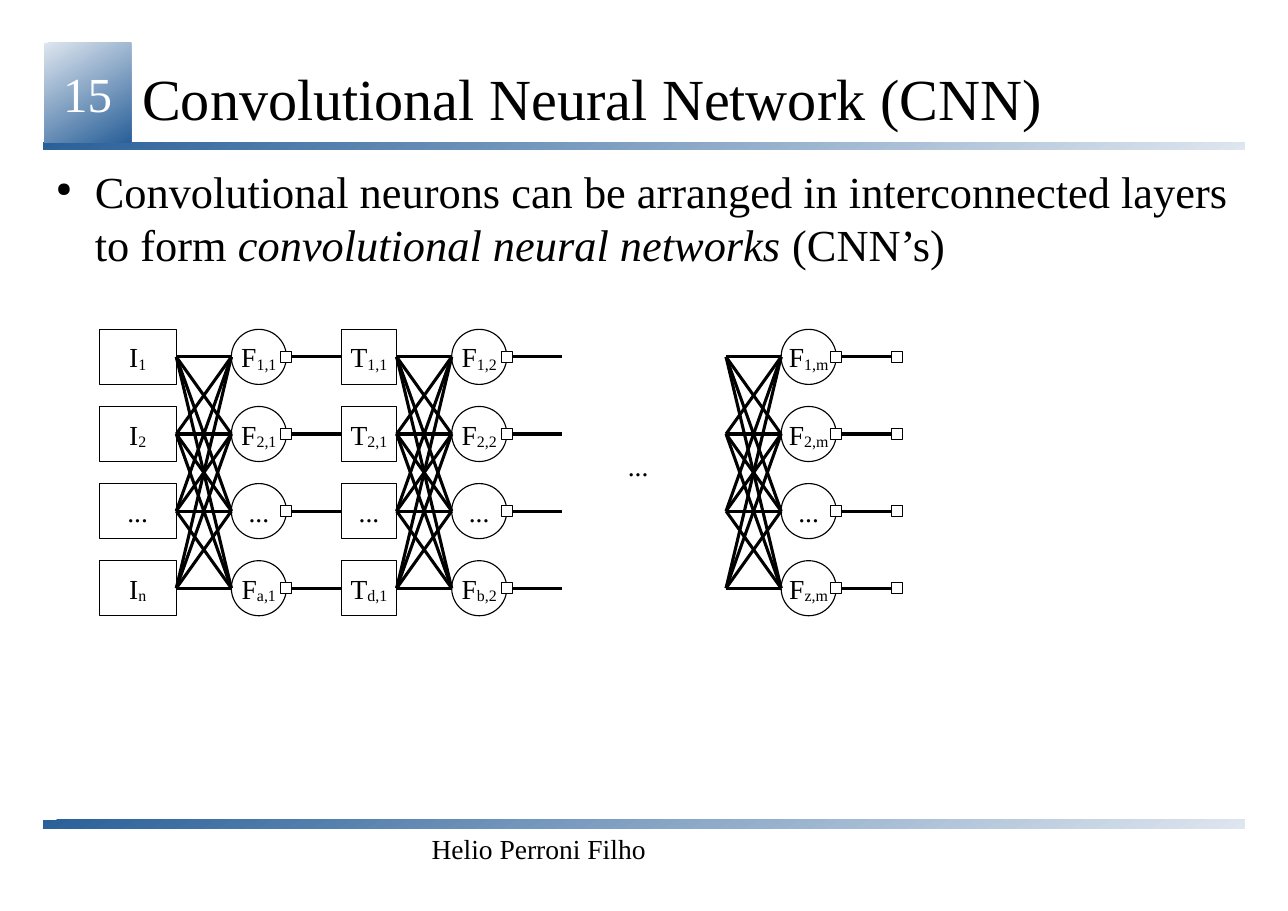
from lxml import etree
from pptx import Presentation
from pptx.dml.color import RGBColor
from pptx.enum import shapes, text
from pptx.oxml import ns
from pptx.util import Inches, Pt

BLACK = RGBColor(0x00, 0x00, 0x00)
WHITE = RGBColor(0xFF, 0xFF, 0xFF)
DARK_BLUE = RGBColor(0x2A, 0x60, 0x99)
PALE_BLUE = RGBColor(0xDE, 0xE6, 0xEF)

FONT = "Times New Roman"
RECTANGLE = shapes.MSO_SHAPE.RECTANGLE
OVAL = shapes.MSO_SHAPE.OVAL
LEFT_SIDE, RIGHT_SIDE = 1, 3

NODE = 0.5
MARKER = 0.1
SPAN = 0.5
ROWS = [3.24 + 0.7 * row for row in range(4)]


def format_run(run, size, color=BLACK):
    run.font.name = FONT
    run.font.size = Pt(size)
    run.font.color.rgb = color


def add_text(slide, box, content, size, align=text.PP_ALIGN.LEFT,
             anchor=text.MSO_ANCHOR.TOP, margins=(0, 0), wrap=True):
    frame = slide.shapes.add_textbox(*map(Inches, box)).text_frame
    frame.word_wrap = wrap
    frame.vertical_anchor = anchor
    frame.margin_left = frame.margin_right = Inches(margins[0])
    frame.margin_top = frame.margin_bottom = Inches(margins[1])
    paragraph = frame.paragraphs[0]
    paragraph.alignment = align
    for part in content:
        run = paragraph.add_run()
        run.text = part
        format_run(run, size)
    return paragraph


def add_gradient(slide, box, first, last):
    shape = slide.shapes.add_shape(RECTANGLE, *map(Inches, box))
    shape.shadow.inherit = False
    shape.line.fill.background()
    shape.fill.gradient()
    shape.fill.gradient_angle = 300
    for stop, position, color in zip(shape.fill.gradient_stops, (0, 1), (first, last)):
        stop.position = position
        stop.color.rgb = color
    return shape


def add_outline(slide, kind, left, middle, width, height):
    box = (left, middle - height / 2, width, height)
    shape = slide.shapes.add_shape(kind, *map(Inches, box))
    shape.shadow.inherit = False
    shape.fill.background()
    shape.line.color.rgb = BLACK
    shape.line.width = Pt(0)
    return shape


def add_node(slide, kind, left, middle, width, letter, subscript):
    shape = add_outline(slide, kind, left, middle, width, NODE)
    frame = shape.text_frame
    frame.word_wrap = False
    frame.vertical_anchor = text.MSO_ANCHOR.MIDDLE
    paragraph = frame.paragraphs[0]
    paragraph.alignment = text.PP_ALIGN.CENTER
    for part in (letter, subscript) if subscript else ("...",):
        run = paragraph.add_run()
        run.text = part
        format_run(run, 18)
        if part == subscript:
            run.font._element.set("baseline", "-8000")
    return shape


def add_column(slide, kind, left, width, letter, subscripts):
    return [add_node(slide, kind, left, middle, width, letter, subscript)
            for middle, subscript in zip(ROWS, subscripts)]


def add_markers(slide, center):
    markers = []
    for middle in ROWS:
        marker = add_outline(slide, RECTANGLE, center - MARKER / 2, middle, MARKER, MARKER)
        marker.fill.solid()
        marker.fill.fore_color.rgb = WHITE
        markers.append(marker)
    return markers


def add_line(slide, start, end, source=None, target=None):
    connector = slide.shapes.add_connector(
        shapes.MSO_CONNECTOR.STRAIGHT, *map(Inches, start + end))
    connector.line.color.rgb = BLACK
    connector.line.width = Pt(0)
    etree.SubElement(connector._element.spPr, ns.qn("a:effectLst"))
    if source:
        connector.begin_connect(source, RIGHT_SIDE)
    if target:
        connector.end_connect(target, LEFT_SIDE)


def add_mesh(slide, left, sources):
    for start, source in zip(ROWS, sources):
        for end in ROWS:
            add_line(slide, (left, start), (left + SPAN, end), source)


def add_outputs(slide, left, targets):
    for middle, target in zip(ROWS, targets):
        add_line(slide, (left, middle), (left + SPAN, middle), target=target)
    add_markers(slide, left)


def add_frame(slide):
    add_gradient(slide, (0.39, 1.29, 10.91, 0.07), DARK_BLUE, PALE_BLUE)
    add_gradient(slide, (0.39, 7.44, 10.91, 0.08), DARK_BLUE, PALE_BLUE)
    number = add_gradient(slide, (0.4, 0.39, 0.79, 0.9), PALE_BLUE, DARK_BLUE)
    frame = number.text_frame
    frame.margin_left = frame.margin_right = frame.margin_top = frame.margin_bottom = 0
    frame.vertical_anchor = text.MSO_ANCHOR.MIDDLE
    frame.text = "15"
    frame.paragraphs[0].alignment = text.PP_ALIGN.CENTER
    format_run(frame.paragraphs[0].runs[0], 32, WHITE)
    add_text(slide, (3.81, 7.52, 2.15, 0.36), ["Helio Perroni Filho"], 18,
             text.PP_ALIGN.RIGHT, text.MSO_ANCHOR.MIDDLE, (0.1, 0.05), wrap=False)
    add_text(slide, (1.29, 0.41, 9.71, 0.95), ["Convolutional Neural Network (CNN)"],
             38, anchor=text.MSO_ANCHOR.MIDDLE)


def add_bullet(paragraph):
    properties = paragraph._p.get_or_add_pPr()
    properties.set("marL", str(Inches(0.47)))
    properties.set("indent", str(Inches(-0.35)))
    color = etree.SubElement(properties, ns.qn("a:buClr"))
    etree.SubElement(color, ns.qn("a:srgbClr"), val=str(BLACK))
    etree.SubElement(properties, ns.qn("a:buSzPct"), val="45000")
    etree.SubElement(properties, ns.qn("a:buChar"), char="●")


def add_body(slide):
    paragraph = add_text(slide, (0.39, 1.49, 10.91, 1.2), [
        "Convolutional neurons can be arranged in interconnected layers to form ",
        "convolutional neural networks", " (CNN’s)"], 29)
    add_bullet(paragraph)
    paragraph.runs[1].font.italic = True


def add_network(slide):
    inputs = add_column(slide, RECTANGLE, 0.9, 0.7, "I", ["1", "2", None, "n"])
    add_column(slide, OVAL, 2.1, NODE, "F", ["1,1", "2,1", None, "a,1"])
    tensors = add_column(slide, RECTANGLE, 3.1, NODE, "T", ["1,1", "2,1", None, "d,1"])
    add_column(slide, OVAL, 4.1, NODE, "F", ["1,2", "2,2", None, "b,2"])
    add_column(slide, OVAL, 7.09, NODE, "F", ["1,m", "2,m", None, "z,m"])
    terminals = add_markers(slide, 8.14)
    unjoined = [None] * len(ROWS)
    for left, sources in ((1.6, inputs), (3.6, tensors), (6.59, unjoined)):
        add_mesh(slide, left, sources)
    for left, targets in ((2.6, tensors), (4.6, unjoined), (7.59, terminals)):
        add_outputs(slide, left, targets)
    add_text(slide, (5.6, 4.03, 0.39, 0.38), ["..."], 18, margins=(0.1, 0.05), wrap=False)


def main():
    presentation = Presentation()
    presentation.slide_width = Inches(11.69)
    presentation.slide_height = Inches(8.27)
    slide = presentation.slides.add_slide(presentation.slide_layouts[6])
    add_frame(slide)
    add_body(slide)
    add_network(slide)
    presentation.save("out.pptx")


if __name__ == "__main__":
    main()
